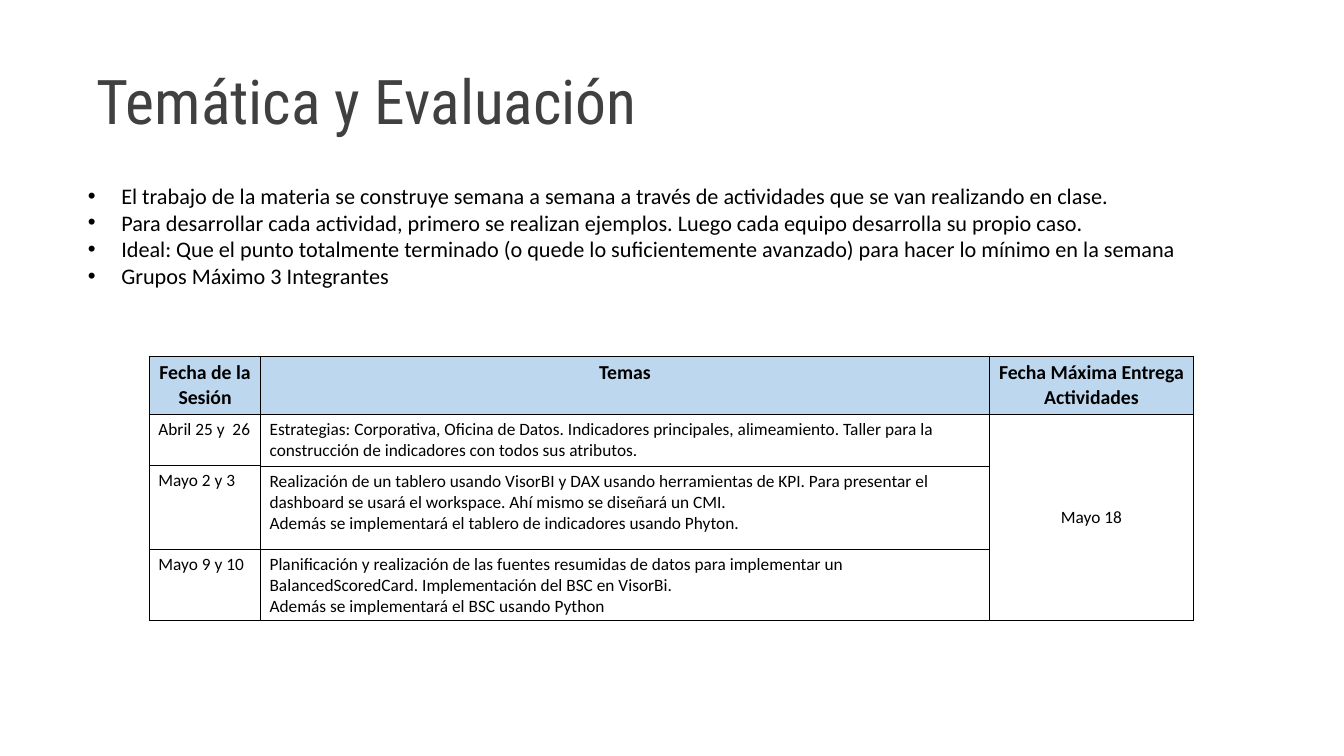
from dataclasses import dataclass

from lxml.etree import SubElement
from pptx import Presentation
from pptx.dml.color import RGBColor
from pptx.enum.text import MSO_ANCHOR as Anchor, PP_ALIGN as Align
from pptx.oxml import parse_xml
from pptx.oxml.ns import nsdecls, qn
from pptx.slide import Slide
from pptx.table import Table
from pptx.text.text import TextFrame
from pptx.util import Pt

COLORS = {"title": "404040", "text": "000000", "header": "BDD7EE", "border": "000000"}
BULLET_INDENT = 27
COLUMN_WIDTHS = (90, 589.7, 165.6)
ROW_HEIGHTS = (47, 41, 1, 67, 58)


@dataclass(frozen=True)
class Style:
    size: float
    font: str = "Calibri"
    color: str = "text"
    bold: bool = False
    align: Align = Align.LEFT
    spacing: float = 1.0


@dataclass(frozen=True)
class TextBlock:
    left: float
    top: float
    width: float
    height: float
    lines: tuple[str, ...]
    style: Style
    anchor: Anchor = Anchor.TOP
    bullets: bool = False


@dataclass(frozen=True)
class CellText:
    row: int
    col: int
    lines: tuple[str, ...]
    style: Style
    row_span: int = 1
    anchor: Anchor = Anchor.TOP


TITLE = Style(49.9, "Roboto Condensed", "title", spacing=0.9)
BODY = Style(18)
HEADER = Style(16, bold=True, align=Align.CENTER)
ENTRY = Style(14)
DEADLINE = Style(14, align=Align.CENTER)

BLOCKS = (
    TextBlock(71.3, 25.9, 955.4, 118.1, ("Temática y Evaluación",), TITLE, Anchor.MIDDLE),
    TextBlock(64.1, 144, 895.7, 116.6, (
        "El trabajo de la materia se construye semana a semana a través de actividades "
        "que se van realizando en clase.",
        "Para desarrollar cada actividad, primero se realizan ejemplos. "
        "Luego cada equipo desarrolla su propio caso.",
        "Ideal: Que el punto totalmente terminado (o quede lo suficientemente avanzado) "
        "para hacer lo mínimo en la semana",
        "Grupos Máximo 3 Integrantes",
    ), BODY, bullets=True),
)

CELLS = (
    CellText(0, 0, ("Fecha de la Sesión",), HEADER),
    CellText(0, 1, ("Temas",), HEADER),
    CellText(0, 2, ("Fecha Máxima Entrega Actividades",), HEADER),
    CellText(1, 0, ("Abril 25 y  26",), ENTRY),
    CellText(1, 1, (
        "Estrategias: Corporativa, Oficina de Datos. Indicadores principales, alimeamiento. "
        "Taller para la construcción de indicadores con todos sus atributos.",
    ), ENTRY, row_span=2),
    CellText(1, 2, ("Mayo 18",), DEADLINE, row_span=4, anchor=Anchor.MIDDLE),
    CellText(2, 0, ("Mayo 2 y 3",), ENTRY, row_span=2),
    CellText(3, 1, (
        "Realización de un tablero usando VisorBI y DAX usando herramientas de KPI. "
        "Para presentar el dashboard se usará el workspace. Ahí mismo se diseñará un CMI.",
        "Además se implementará el tablero de indicadores usando Phyton.",
    ), ENTRY),
    CellText(4, 0, ("Mayo 9 y 10",), ENTRY),
    CellText(4, 1, (
        "Planificación y realización de las fuentes resumidas de datos para implementar un "
        "BalancedScoredCard. Implementación del BSC en VisorBi.",
        "Además se implementará el BSC usando Python",
    ), ENTRY),
)


def rgb(name: str) -> RGBColor:
    return RGBColor.from_string(COLORS[name])


def write_lines(tf: TextFrame, lines: tuple[str, ...], style: Style, bullets: bool = False) -> None:
    for i, line in enumerate(lines):
        p = tf.add_paragraph() if i else tf.paragraphs[0]
        p.alignment = style.align
        p.line_spacing = style.spacing
        if bullets:
            pPr = p._p.get_or_add_pPr()
            pPr.set("marL", str(Pt(BULLET_INDENT)))
            pPr.set("indent", str(-Pt(BULLET_INDENT)))
            SubElement(pPr, qn("a:buFont")).set("typeface", "Arial")
            SubElement(pPr, qn("a:buChar")).set("char", "•")
        r = p.add_run()
        r.text = line
        r.font.size = Pt(style.size)
        r.font.name = style.font
        r.font.bold = style.bold
        r.font.color.rgb = rgb(style.color)


def add_text_block(s: Slide, block: TextBlock) -> None:
    sp = s.shapes.add_textbox(Pt(block.left), Pt(block.top), Pt(block.width), Pt(block.height))
    tf = sp.text_frame
    tf.word_wrap = True
    tf.vertical_anchor = block.anchor
    write_lines(tf, block.lines, block.style, block.bullets)


def format_grid(table: Table) -> None:
    """Fill the header row and draw a thin border around every cell."""
    for row_index, row in enumerate(table.rows):
        for cell in row.cells:
            if row_index == 0:
                cell.fill.solid()
                cell.fill.fore_color.rgb = rgb("header")
            else:
                cell.fill.background()
            tcPr = cell._tc.get_or_add_tcPr()
            for position, side in enumerate(("lnL", "lnR", "lnT", "lnB")):
                tcPr.insert(position, parse_xml(
                    f'<a:{side} {nsdecls("a")} w="{Pt(1)}"><a:solidFill>'
                    f'<a:srgbClr val="{COLORS["border"]}"/></a:solidFill></a:{side}>'))


def add_schedule(s: Slide) -> None:
    table = s.shapes.add_table(
        len(ROW_HEIGHTS), len(COLUMN_WIDTHS), Pt(121), Pt(288.7),
        Pt(sum(COLUMN_WIDTHS)), Pt(sum(ROW_HEIGHTS))).table
    table.horz_banding = False
    for column, width in zip(table.columns, COLUMN_WIDTHS):
        column.width = Pt(width)
    for row, height in zip(table.rows, ROW_HEIGHTS):
        row.height = Pt(height)
    format_grid(table)
    for item in CELLS:
        cell = table.cell(item.row, item.col)
        if item.row_span > 1:
            cell.merge(table.cell(item.row + item.row_span - 1, item.col))
        cell.vertical_anchor = item.anchor
        write_lines(cell.text_frame, item.lines, item.style)


def main() -> None:
    prs = Presentation()
    prs.slide_width, prs.slide_height = Pt(1087.92), Pt(612)
    s = prs.slides.add_slide(prs.slide_layouts[6])
    for block in BLOCKS:
        add_text_block(s, block)
    add_schedule(s)
    prs.save("out.pptx")


if __name__ == "__main__":
    main()
